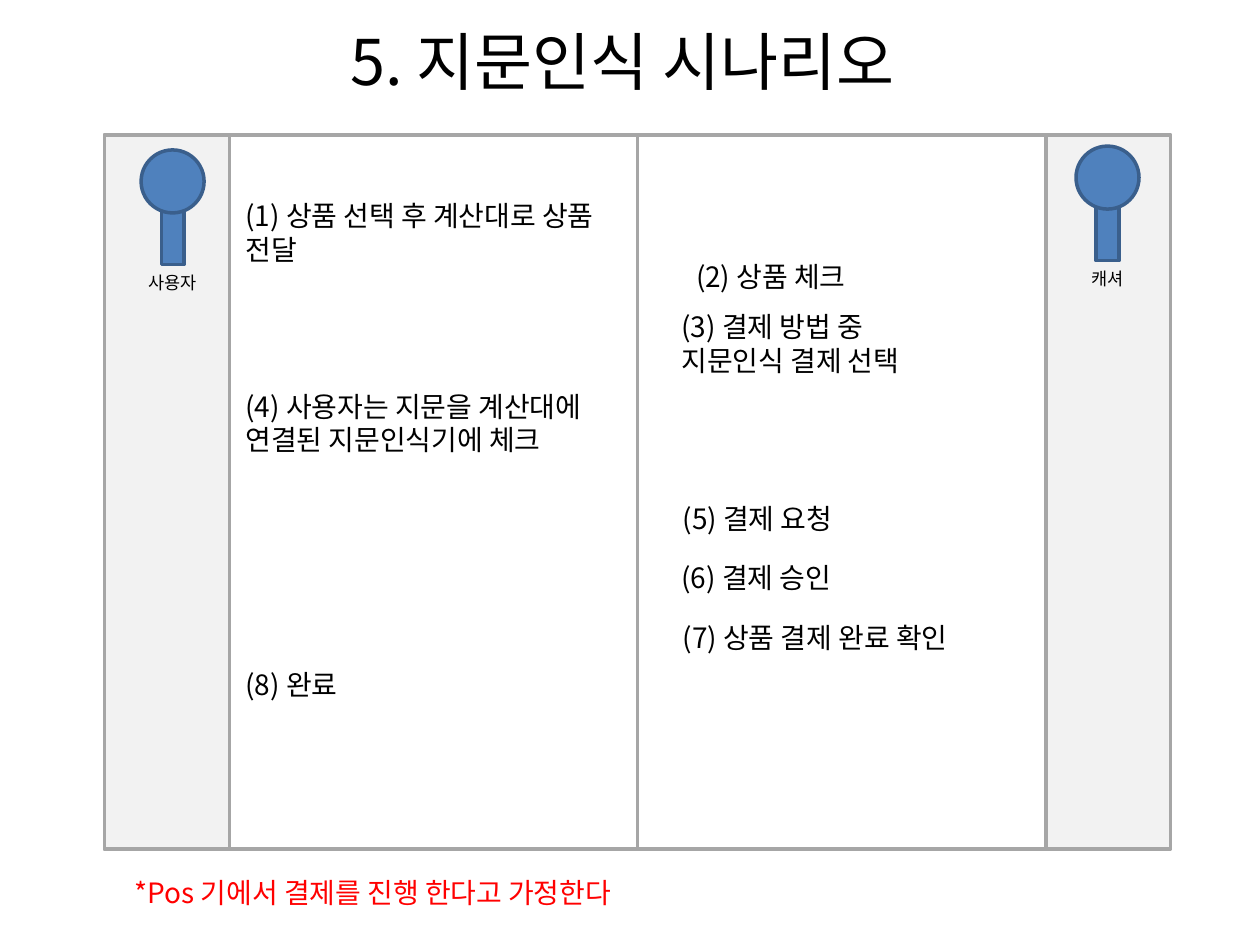
from dataclasses import dataclass

from lxml import etree
from pptx import Presentation
from pptx.dml.color import RGBColor
from pptx.enum.shapes import MSO_SHAPE
from pptx.enum.text import MSO_AUTO_SIZE, PP_ALIGN
from pptx.oxml.ns import qn
from pptx.util import Inches, Pt

RECTANGLE, OVAL = MSO_SHAPE.RECTANGLE, MSO_SHAPE.OVAL
LEFT, CENTER, RIGHT = PP_ALIGN.LEFT, PP_ALIGN.CENTER, PP_ALIGN.RIGHT
FIT_TEXT = MSO_AUTO_SIZE.SHAPE_TO_FIT_TEXT

FONT = "Noto Sans CJK KR"
BLACK = RGBColor(0x00, 0x00, 0x00)
RED = RGBColor(0xFF, 0x00, 0x00)
WHITE = RGBColor(0xFF, 0xFF, 0xFF)
PALE_GRAY = RGBColor(0xF2, 0xF2, 0xF2)
GRAY = RGBColor(0xA6, 0xA6, 0xA6)
BLUE = RGBColor(0x4F, 0x81, 0xBD)
DARK_BLUE = RGBColor(0x3A, 0x5F, 0x8C)

LANE_TOP, LANE_HEIGHT = 1.07, 5.67
LANE_WIDTH, ACTOR_WIDTH = 4.23, 0.99
HEAD_SIZE, BODY_WIDTH, BODY_HEIGHT = 0.5, 0.18, 0.44


@dataclass(frozen=True)
class Panel:
    left: float
    width: float
    fill: RGBColor


@dataclass(frozen=True)
class Label:
    text: str
    left: float
    top: float
    width: float
    height: float = 0.37
    size: int = 16
    align: PP_ALIGN = LEFT
    color: RGBColor = BLACK
    wrap: bool = False


@dataclass(frozen=True)
class Actor:
    name: str
    center: float
    top: float
    label_width: float


PANELS = [
    Panel(5.05, LANE_WIDTH, WHITE),
    Panel(8.3, ACTOR_WIDTH, PALE_GRAY),
    Panel(0.83, LANE_WIDTH, WHITE),
    Panel(0.83, ACTOR_WIDTH, PALE_GRAY),
]

ACTORS = [
    Actor("사용자", 1.37, 1.19, 0.62),
    Actor("캐셔", 8.79, 1.16, 0.48),
]

LABELS = [
    Label("5. 지문인식 시나리오", 2.45, 0.13, 4.98, 0.71, size=36, align=CENTER),
    # Scenario steps
    Label("(1) 상품 선택 후 계산대로 상품 전달", 1.85, 1.53, 3.09, 0.64, wrap=True),
    Label("(2) 상품 체크", 5.29, 2.01, 1.52, align=RIGHT),
    Label("(3) 결제 방법 중 지문인식 결제 선택", 5.31, 2.41, 2.41, 0.64, wrap=True),
    Label("(4) 사용자는 지문을 계산대에 연결된 지문인식기에 체크",
          1.85, 3.04, 3.09, 0.91, wrap=True),
    Label("(5) 결제 요청", 5.32, 3.93, 2.98, wrap=True),
    Label("(6) 결제 승인", 5.31, 4.4, 1.52),
    Label("(7) 상품 결제 완료 확인", 5.32, 4.88, 2.57),
    Label("(8) 완료", 1.85, 5.25, 0.99),
    # Assumption
    Label("*Pos 기에서 결제를 진행 한다고 가정한다", 0.97, 6.9, 4.41, color=RED),
]


def add_figure(shapes, kind: MSO_SHAPE, left: float, top: float, width: float,
               height: float, fill: RGBColor, line: RGBColor) -> None:
    figure = shapes.add_shape(kind, Inches(left), Inches(top),
                              Inches(width), Inches(height))
    figure.shadow.inherit = False
    figure.fill.solid()
    figure.fill.fore_color.rgb = fill
    figure.line.color.rgb = line
    figure.line.width = Pt(2)


def add_label(shapes, label: Label) -> None:
    box = shapes.add_textbox(Inches(label.left), Inches(label.top),
                             Inches(label.width), Inches(label.height))
    frame = box.text_frame
    frame.word_wrap = label.wrap
    frame.auto_size = FIT_TEXT
    para = frame.paragraphs[0]
    para.text = label.text
    para.alignment = label.align
    para.font.size = Pt(label.size)
    para.font.color.rgb = label.color
    para.font.name = FONT
    # Hangul takes the East Asian typeface
    properties = para._p.get_or_add_pPr().find(qn("a:defRPr"))
    etree.SubElement(properties, qn("a:ea")).set("typeface", FONT)


def add_actor(shapes, actor: Actor) -> None:
    group = shapes.add_group_shape().shapes
    add_figure(group, RECTANGLE, actor.center - BODY_WIDTH / 2, actor.top + 0.47,
               BODY_WIDTH, BODY_HEIGHT, BLUE, DARK_BLUE)
    add_figure(group, OVAL, actor.center - HEAD_SIZE / 2, actor.top,
               HEAD_SIZE, HEAD_SIZE, BLUE, DARK_BLUE)
    add_label(group, Label(actor.name, actor.center - actor.label_width / 2,
                           actor.top + 0.92, actor.label_width, 0.27,
                           size=10, align=CENTER))


def main() -> None:
    deck = Presentation()
    deck.slide_width, deck.slide_height = Inches(10), Inches(7.5)
    page = deck.slides.add_slide(deck.slide_layouts[6])

    # Swimlanes
    for panel in PANELS:
        add_figure(page.shapes, RECTANGLE, panel.left, LANE_TOP,
                   panel.width, LANE_HEIGHT, panel.fill, GRAY)

    # User and cashier
    for actor in ACTORS:
        add_actor(page.shapes, actor)

    # Title, steps and assumption
    for label in LABELS:
        add_label(page.shapes, label)

    deck.save("out.pptx")


if __name__ == "__main__":
    main()
